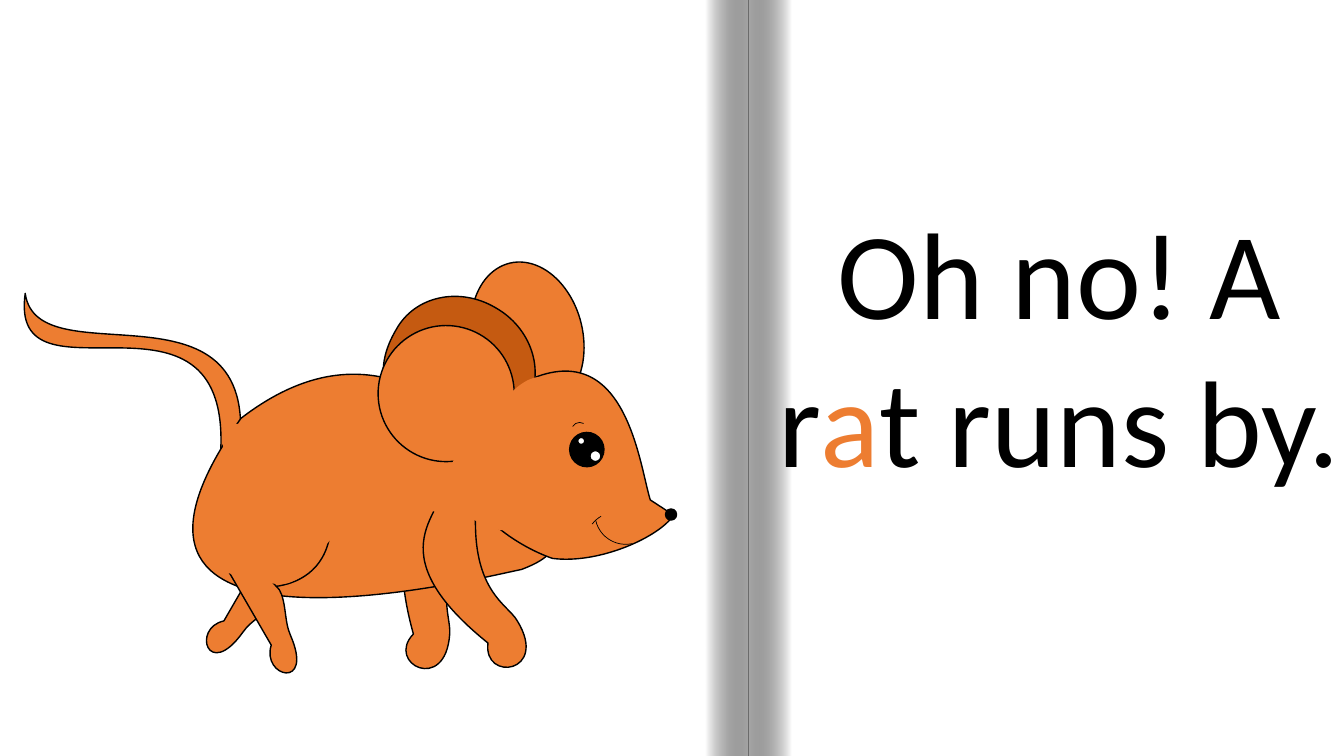
from dataclasses import dataclass
from math import cos, radians, sin

from lxml import etree
from pptx import Presentation, util as u
from pptx.dml.color import RGBColor
from pptx.enum import shapes, text
from pptx.oxml.ns import qn

WIDE, HIGH = 13.33, 7.5  # grid of one-inch columns and rows


@dataclass
class Theme:
    ink: str = "000000"
    paper: str = "FFFFFF"
    fur: str = "ED7D31"
    shade: str = "C55A11"
    font: str = "Calibri"
    size: float = 88
    pen: float = 1
    thin: float = 0.5


def color(code):
    return RGBColor.from_string(code)


def cell(*marks):
    return [u.Inches(mark) for mark in marks]


class Page:
    def __init__(self, deck, theme):
        self.theme = theme
        self.slide = deck.slides.add_slide(deck.slide_layouts[6])
        back = self.slide.background.fill
        back.solid()
        back.fore_color.rgb = color(theme.ink)

    def style(self, shape, fill, pen, turn):
        shape.rotation = turn
        shape.shadow.inherit = False
        if fill:
            shape.fill.solid()
            shape.fill.fore_color.rgb = color(fill)
        else:
            shape.fill.background()
        if pen:
            shape.line.color.rgb = color(self.theme.ink)
            shape.line.width = u.Pt(pen)
        else:
            shape.line.fill.background()
        return shape

    def preset(self, kind, box, fill=None, pen=0, turn=0):
        shape = self.slide.shapes.add_shape(kind, *cell(*box))
        return self.style(shape, fill, pen, turn)

    def oval(self, box, fill, pen=0, turn=0):
        return self.preset(shapes.MSO_SHAPE.OVAL, box, fill, pen, turn)

    def arc(self, box, turn, ends=()):
        shape = self.preset(shapes.MSO_SHAPE.ARC, box, pen=self.theme.thin, turn=turn)
        for i, end in enumerate(ends):
            shape.adjustments[i] = end

    def form(self, box, turn, start, *parts, fill=None, pen=0):
        """Closed outline: a part of 2 numbers is a line, of 6 a curve."""
        left, top, wide, high = box
        first, *rest = [cell(*part[-2:]) for part in (start, *parts)]
        build = self.slide.shapes.build_freeform(*first)
        build.add_line_segments(rest, close=True)
        shape = self.style(build.convert_to_shape(), fill or self.theme.fur, pen, turn)
        shape.left, shape.top, shape.width, shape.height = cell(*box)

        # Redraw the outline with true curves, in the turned frame
        track = shape._element.find(".//" + qn("a:path"))
        for old in list(track):
            track.remove(old)
        track.set("w", str(u.Inches(wide)))
        track.set("h", str(u.Inches(high)))
        c, s = cos(radians(turn)), sin(radians(turn))
        for i, part in enumerate((start, *parts)):
            kind = "a:moveTo" if i == 0 else "a:lnTo" if len(part) == 2 else "a:cubicBezTo"
            move = etree.SubElement(track, qn(kind))
            for x, y in zip(part[::2], part[1::2]):
                x, y = x - left - wide / 2, y - top - high / 2
                x, y = cell(x * c + y * s + wide / 2, y * c - x * s + high / 2)
                etree.SubElement(move, qn("a:pt"), x=str(x), y=str(y))
        etree.SubElement(track, qn("a:close"))

    def fold(self, box, angle):
        shape = self.preset(shapes.MSO_SHAPE.RECTANGLE, box)
        shape.fill.gradient()
        shape.fill.gradient_angle = angle
        edge, crease = shape.fill.gradient_stops
        edge.position, crease.position = 0, 1
        edge.color.rgb = color(self.theme.paper)
        crease.color.rgb = color(self.theme.ink)
        tone = shape.fill._xPr.findall(".//" + qn("a:srgbClr"))[-1]
        etree.SubElement(tone, qn("a:alpha")).set("val", "34000")

    def story(self, box, parts):
        frame = self.slide.shapes.add_textbox(*cell(*box)).text_frame
        frame.word_wrap = True
        frame.auto_size = text.MSO_AUTO_SIZE.SHAPE_TO_FIT_TEXT
        line = frame.paragraphs[0]
        line.alignment = text.PP_ALIGN.CENTER
        for words, tint in parts:
            run = line.add_run()
            run.text = words
            run.font.name = self.theme.font
            run.font.size = u.Pt(self.theme.size)
            run.font.color.rgb = color(tint)


def book(page):
    look = page.theme
    page.preset(shapes.MSO_SHAPE.RECTANGLE, (0, 0, WIDE, HIGH), look.paper)
    # Shaded fold between the two pages
    page.fold((7.42, 0, 0.43, HIGH), 180)
    page.fold((7, 0, 0.42, HIGH), 0)
    page.story((7.42, 1.9, 6.17, 3.06), [
        ("Oh no! A r", look.ink), ("a", look.fur), ("t runs by.", look.ink)])


def rat(page):
    look = page.theme
    fur, ink, pen = look.fur, look.ink, look.pen

    # Far legs
    page.form((3.84, 4.8, 1.12, 1.76), 41.5, (4.92, 4.97), (4.66, 4.74),
              (4.57, 5, 3.7, 4.85, 4.1, 6.29), (3.82, 6.58, 4.42, 6.89, 4.46, 6.29),
              (4.48, 6.08, 4.22, 5.72, 4.92, 4.97), pen=pen)
    page.form((2.8, 4.42, 1.39, 1.19), 94.8, (4.09, 5.02), (4.14, 4.37), (2.96, 4.76),
              (2.86, 5.47), (2.88, 5.52, 3.65, 6.18, 4.09, 5.02), pen=pen)
    page.form((1.78, 5.61, 1.59, 0.43), 120.2, (2.41, 6.27),
              (2.49, 6.15, 2.67, 6.07, 2.75, 5.95), (2.9, 5.44),
              (3.33, 4.97, 2.74, 5.23, 2.7, 5.33), (2.22, 6.16),
              (1.9, 6.23, 2.06, 6.76, 2.41, 6.27), pen=pen)
    page.oval((2.69, 4.68, 0.58, 0.86), fur, turn=184.8)

    # Tail and body
    page.form((0.42, 2.71, 1.81, 2.05), 85.4, (2.19, 4.45),
              (2.26, 2.63, 0.08, 4.12, 0.25, 2.91),
              (0.37, 3.79, 2.66, 2.64, 2.36, 4.56), (2.19, 4.45), pen=pen)
    page.form((2.56, 3.28, 2.45, 3.49), 109.4, (5.17, 5.65),
              (5.79, 5.42, 5.33, 5.19, 5.41, 4.97), (4.8, 4.29, 3.82, 3.05, 2.39, 4.15),
              (0.49, 6.82, 4.85, 5.71, 5.17, 5.65), pen=pen)

    # Near front leg, with soft joins to the body
    page.form((4.17, 4.83, 1.12, 1.76), 5.7, (4.74, 4.82), (4.39, 4.79),
              (4.47, 5.06, 3.67, 5.44, 4.84, 6.38), (4.79, 6.77, 5.45, 6.68, 5.13, 6.16),
              (5.03, 5.98, 4.61, 5.85, 4.74, 4.82), pen=pen)
    page.oval((4.38, 4.18, 0.58, 1.35), fur, turn=94.8)
    page.form((2.51, 4.15, 1.35, 1.17), 150.5, (2.7, 5.25),
              (2.86, 5.53, 3.39, 5.32, 3.57, 5.18), (3.74, 5.04, 3.92, 4.68, 3.77, 4.41),
              (3.48, 3.78, 3.18, 4.05, 3, 4.19), (2.83, 4.33, 2.55, 4.98, 2.7, 5.25))
    page.oval((2.54, 4.87, 0.58, 0.86), fur, turn=184.8)

    # Far ear, head and near ear
    page.oval((4.48, 2.79, 1.5, 1.1), fur, pen, 76.6)
    page.form((4.58, 3.78, 2.18, 1.77), 32.1, (4.56, 4.38),
              (4.77, 4.05, 4.91, 3.96, 5.2, 3.79), (6.21, 3.3, 6.34, 4.61, 6.45, 4.96),
              (6.68, 5.11), (6.55, 5.32, 5.95, 5.6, 5.48, 5.54),
              (5.13, 5.42, 4.45, 5.01, 4.56, 4.38), pen=pen)
    page.form((3.83, 2.96, 1.5, 1.36), 29.4, (5.23, 4), (5.41, 3.68, 5.27, 3.25, 4.91, 3.05),
              (4.55, 2.84, 4.11, 2.94, 3.93, 3.27), (3.74, 3.59, 3.7, 3.99, 4.25, 4.22),
              (4.79, 4.45, 5.05, 4.33, 5.23, 4), fill=look.shade, pen=pen)
    page.oval((3.75, 3.23, 1.35, 1.35), fur, pen, 29.4)

    # Nose, eye, brow and smile
    for left, top, size, fill in ((6.6, 5.05, 0.11, ink), (5.65, 4.29, 0.34, ink)):
        page.oval((left, top, size, size), fill, pen, 29.4)
    page.arc((5.67, 4.19, 0.16, 0.16), 299.4)
    for left, top, size in ((5.85, 4.47, 0.11), (5.73, 4.34, 0.07)):
        page.oval((left, top, size, size), look.paper, pen, 29.4)
    page.oval((4.8, 3.67, 0.58, 1.35), fur, turn=29.4)
    page.arc((5.9, 4.79, 0.61, 0.61), 167.7)
    page.arc((5.81, 5.08, 0.61, 0.61), 307.5, (162, 175.4))
    page.oval((4.53, 4.16, 1.04, 1.17), fur, turn=94.8)

    # Near hind leg, with soft joins to body and tail
    page.form((2.04, 4.48, 1.39, 1.19), 60.5, (3.23, 4.74), (2.91, 4.18), (2.16, 5.17),
              (2.47, 5.81), (2.52, 5.84, 3.53, 5.95, 3.23, 4.74), pen=pen)
    page.form((1.78, 5.72, 1.59, 0.43), 60.5, (2.88, 6.3),
              (2.82, 6.17, 2.84, 5.97, 2.77, 5.85), (2.41, 5.46),
              (2.22, 4.85, 2.14, 5.49, 2.21, 5.57), (2.69, 6.4),
              (2.59, 6.72, 3.12, 6.85, 2.88, 6.3), pen=pen)
    page.form((1.88, 4.21, 1.66, 1.42), 150.5, (2.11, 5.55),
              (2.3, 5.89, 2.95, 5.63, 3.17, 5.46), (3.39, 5.29, 3.61, 4.85, 3.42, 4.52),
              (3.08, 3.76, 2.71, 4.08, 2.49, 4.26), (2.27, 4.43, 1.93, 5.22, 2.11, 5.55))
    page.form((2.18, 4.23, 0.27, 0.23), 150.5, (2.22, 4.45),
              (2.25, 4.5, 2.35, 4.46, 2.39, 4.43), (2.42, 4.41, 2.46, 4.34, 2.43, 4.28),
              (2.37, 4.16, 2.31, 4.21, 2.28, 4.24), (2.24, 4.27, 2.19, 4.39, 2.22, 4.45))
    page.form((2.4, 5.32, 0.61, 0.52), 150.5, (2.39, 5.65),
              (2.32, 5.53, 2.52, 5.37, 2.62, 5.34), (2.71, 5.3, 2.89, 5.31, 2.96, 5.44),
              (3.14, 5.69, 2.96, 5.74, 2.87, 5.78), (2.77, 5.82, 2.46, 5.77, 2.39, 5.65))


if __name__ == "__main__":
    deck = Presentation()
    deck.slide_width, deck.slide_height = cell(WIDE, HIGH)
    page = Page(deck, Theme())
    book(page)
    rat(page)
    deck.save("out.pptx")
